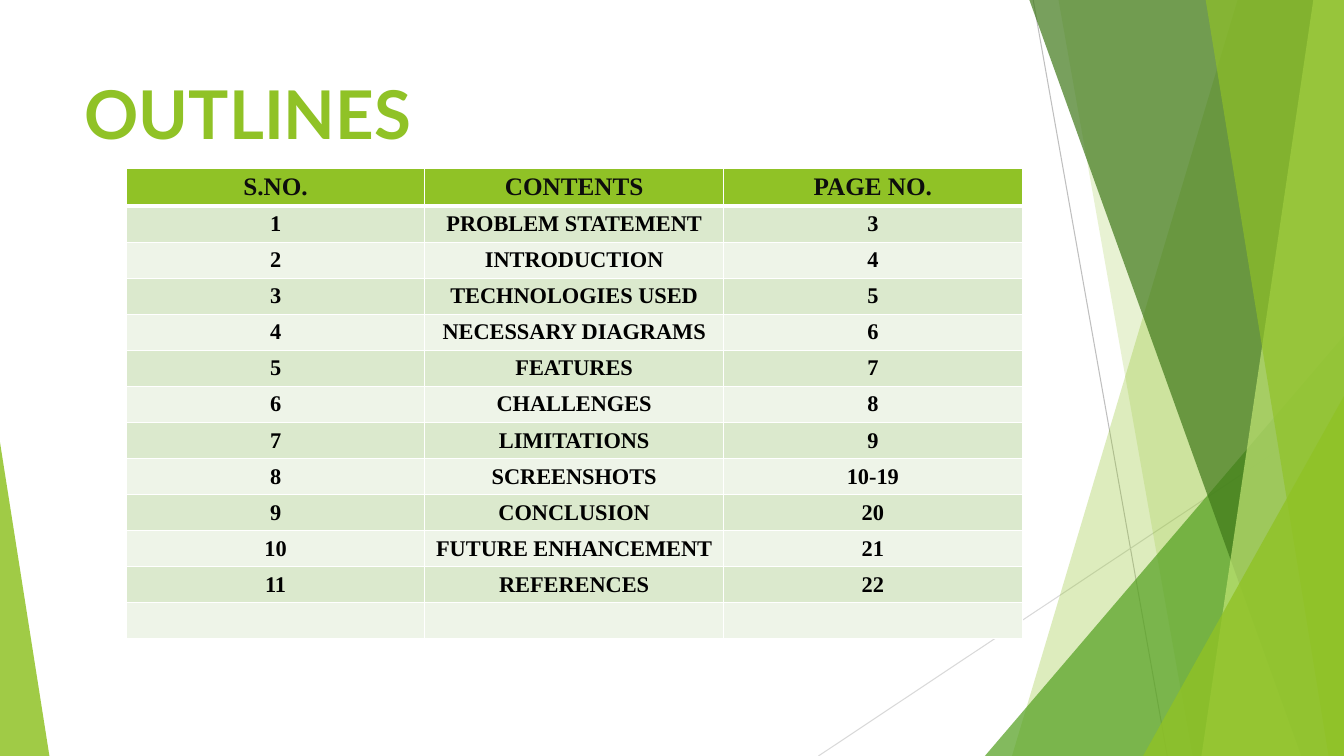
import dataclasses

import lxml.etree
import pptx
import pptx.dml.color
import pptx.enum.shapes
import pptx.enum.text
import pptx.oxml
import pptx.oxml.ns
import pptx.util

Pt = pptx.util.Pt


@dataclasses.dataclass(frozen=True)
class Theme:
    green: str = "90C226"
    leaf: str = "54A021"
    forest: str = "3F7819"
    lime: str = "C0E474"
    band_dark: str = "DBE9CD"
    band_light: str = "EEF4E8"
    white: str = "FFFFFF"
    header_text: str = "0D0D0D"
    body_text: str = "000000"
    line_dark: str = "BFBFBF"
    line_light: str = "D9D9D9"
    title_font: str = "Lato"
    table_font: str = "Times New Roman"
    title_size: int = 48
    header_size: int = 18
    body_size: int = 16


THEME = Theme()
WIDTH, HEIGHT = 960, 540
CONTENTS = [
    ("PROBLEM STATEMENT", "3"),
    ("INTRODUCTION", "4"),
    ("TECHNOLOGIES USED", "5"),
    ("NECESSARY DIAGRAMS", "6"),
    ("FEATURES", "7"),
    ("CHALLENGES", "8"),
    ("LIMITATIONS", "9"),
    ("SCREENSHOTS", "10-19"),
    ("CONCLUSION", "20"),
    ("FUTURE ENHANCEMENT", "21"),
    ("REFERENCES", "22"),
]


def rgb(color):
    return pptx.dml.color.RGBColor.from_string(color)


def add_span(para, text, font, size, color):
    span = para.add_run()
    span.text = text
    span.font.name = font
    span.font.size = Pt(size)
    span.font.bold = True
    span.font.color.rgb = rgb(color)


def paint(shape, color, opacity):
    shape.shadow.inherit = False
    shape.line.fill.background()
    shape.fill.solid()
    shape.fill.fore_color.rgb = rgb(color)
    fill_color = shape.element.spPr.find(".//" + pptx.oxml.ns.qn("a:srgbClr"))
    alpha = lxml.etree.SubElement(fill_color, pptx.oxml.ns.qn("a:alpha"))
    alpha.set("val", str(opacity * 1000))


def add_ribbon(slide, top_x, bottom_x, color, opacity):
    top = Pt(-0.6)
    builder = slide.shapes.build_freeform(Pt(top_x), top)
    builder.add_line_segments(
        [(Pt(WIDTH), top), (Pt(WIDTH), Pt(HEIGHT)), (Pt(bottom_x), Pt(HEIGHT))]
    )
    paint(builder.convert_to_shape(), color, opacity)


def add_corner(slide, left, top, width, peak, color, opacity):
    corner = slide.shapes.add_shape(
        pptx.enum.shapes.MSO_SHAPE.ISOSCELES_TRIANGLE,
        Pt(left), Pt(top), Pt(width), Pt(HEIGHT - top),
    )
    corner.adjustments[0] = peak
    paint(corner, color, opacity)


def add_hairline(slide, start, end, color):
    line = slide.shapes.add_connector(
        pptx.enum.shapes.MSO_CONNECTOR.STRAIGHT, *map(Pt, start + end)
    )
    line.line.color.rgb = rgb(color)
    line.line.width = Pt(0.75)
    lxml.etree.SubElement(line.element.spPr, pptx.oxml.ns.qn("a:effectLst"))


def add_borders(cell, bottom_width):
    properties = cell._tc.get_or_add_tcPr()
    for side, width in (("L", 1), ("R", 1), ("T", 1), ("B", bottom_width)):
        properties.append(pptx.oxml.parse_xml(
            f'<a:ln{side} {pptx.oxml.ns.nsdecls("a")} w="{Pt(width)}">'
            f'<a:solidFill><a:srgbClr val="{THEME.white}"/></a:solidFill>'
            f'</a:ln{side}>'
        ))


def fill_cell(cell, text, fill, size, color, bottom_width):
    add_borders(cell, bottom_width)
    cell.fill.solid()
    cell.fill.fore_color.rgb = rgb(fill)
    cell.margin_top = cell.margin_bottom = Pt(1.5)
    cell.vertical_anchor = pptx.enum.text.MSO_ANCHOR.MIDDLE
    para = cell.text_frame.paragraphs[0]
    para.alignment = pptx.enum.text.PP_ALIGN.CENTER
    if text:
        add_span(para, text, THEME.table_font, size, color)


def add_contents_table(slide):
    rows = [("S.NO.", "CONTENTS", "PAGE NO.")]
    rows += [(str(number), *entry) for number, entry in enumerate(CONTENTS, 1)]
    rows.append(("", "", ""))
    header_height, row_height = 27, 25.75
    table = slide.shapes.add_table(
        len(rows), 3, Pt(90.2), Pt(120.3), Pt(640),
        Pt(header_height + row_height * (len(rows) - 1)),
    ).table
    table.horz_banding = False
    for index, texts in enumerate(rows):
        if index == 0:
            height = header_height
            style = (THEME.green, THEME.header_size, THEME.header_text, 3)
        else:
            height = row_height
            band = THEME.band_dark if index % 2 else THEME.band_light
            style = (band, THEME.body_size, THEME.body_text, 1)
        table.rows[index].height = Pt(height)
        for column, text in enumerate(texts):
            fill_cell(table.cell(index, column), text, *style)


def set_title(slide, text):
    title = slide.shapes.title
    title.left, title.top, title.width, title.height = map(Pt, (53.3, 48.2, 676.8, 103.7))
    frame = title.text_frame
    frame.word_wrap = True
    frame.auto_size = pptx.enum.text.MSO_AUTO_SIZE.NONE
    frame.vertical_anchor = pptx.enum.text.MSO_ANCHOR.TOP
    para = frame.paragraphs[0]
    para.alignment = pptx.enum.text.PP_ALIGN.LEFT
    para.line_spacing = 1.0
    add_span(para, text, THEME.title_font, THEME.title_size, THEME.green)
    slide.shapes.element.append(title.element)


def add_backdrop(slide):
    add_hairline(slide, (738, 0), (833.8, HEIGHT), THEME.line_dark)
    add_hairline(slide, (WIDTH, 290.2), (584.6, HEIGHT), THEME.line_light)
    add_ribbon(slide, 884.2, 722.9, THEME.green, 30)
    add_ribbon(slide, 756, 851.8, THEME.green, 20)
    add_corner(slide, 703.5, 239.8, 256.5, 1, THEME.leaf, 72)
    add_ribbon(slide, 735.1, 929.5, THEME.forest, 70)
    add_ribbon(slide, 938.2, 858.2, THEME.lime, 70)
    add_ribbon(slide, 861.1, 949, THEME.green, 65)
    add_corner(slide, 816.5, 283, 143.5, 1, THEME.green, 80)
    add_corner(slide, 0, 316, 35.3, 0, THEME.green, 85)


def main():
    deck = pptx.Presentation()
    deck.slide_width, deck.slide_height = Pt(WIDTH), Pt(HEIGHT)
    page = deck.slides.add_slide(deck.slide_layouts.get_by_name("Title Only"))
    add_backdrop(page)
    set_title(page, "OUTLINES")
    add_contents_table(page)
    deck.save("out.pptx")


if __name__ == "__main__":
    main()
